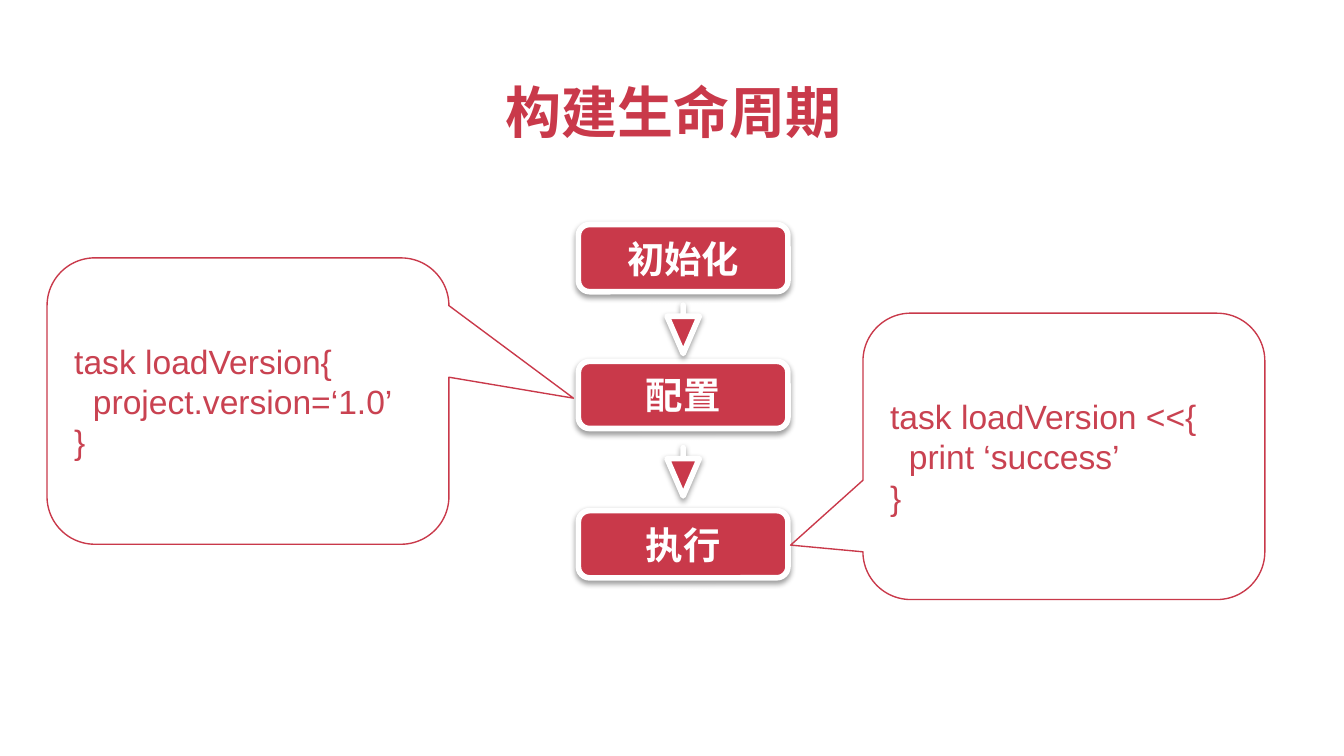
from lxml import etree
from pptx import Presentation
from pptx.dml.color import RGBColor
from pptx.enum import shapes, text
from pptx.oxml.ns import qn
from pptx.util import Pt

RED, CODE_RED, WHITE = "C9394A", "C94251", "FFFFFF"
CJK, LATIN = "Noto Sans CJK SC", "Arial"
AXIS = 366  # centre line of the flow
BOX_W, BOX_H = 112.3, 36
ARROW_W, ARROW_H = 17.3, 25.9
CALLOUT_W, CALLOUT_H = 215.3, 153.4


def color(value):
    return RGBColor.from_string(value)


def write(sp, lines, size, font, fill, bold=False, align=text.PP_ALIGN.LEFT,
          anchor=text.MSO_ANCHOR.MIDDLE):
    """Fill a shape with paragraphs given as (text, left indent) pairs."""
    tf = sp.text_frame
    tf.word_wrap = True
    tf.vertical_anchor = anchor
    for i, (line, indent) in enumerate(lines):
        p = tf.paragraphs[0] if i == 0 else tf.add_paragraph()
        p.alignment = align
        if indent:
            p._p.get_or_add_pPr().set("marL", str(Pt(indent)))
        r = p.add_run()
        r.text = line
        r.font.size, r.font.bold, r.font.name = Pt(size), bold, font
        r.font.color.rgb = color(fill)
        etree.SubElement(r._r.get_or_add_rPr(), qn("a:ea"), typeface=font)


def add_shape(s, kind, x, y, w, h, adjustments, line, weight, fill=None):
    sp = s.shapes.add_shape(kind, Pt(x), Pt(y), Pt(w), Pt(h))
    sp.shadow.inherit = False
    for i, value in enumerate(adjustments):
        sp.adjustments[i] = value
    if fill:
        sp.fill.solid()
        sp.fill.fore_color.rgb = color(fill)
    else:
        sp.fill.background()
    sp.line.color.rgb = color(line)
    sp.line.width = Pt(weight)
    return sp


def add_shadow(sp):
    effects = sp._element.spPr.find(qn("a:effectLst"))
    shadow = etree.SubElement(effects, qn("a:outerShdw"), blurRad=str(Pt(3.1)),
                              dist=str(Pt(1.6)), dir="5400000", rotWithShape="0")
    black = etree.SubElement(shadow, qn("a:srgbClr"), val="000000")
    etree.SubElement(black, qn("a:alpha"), val="38000")


def add_title(s, title):
    sp = s.shapes.add_textbox(Pt(36.7), Pt(38.2), Pt(648), Pt(45.4))
    write(sp, [(title, 0)], 30, CJK, RED, bold=True,
          align=text.PP_ALIGN.CENTER, anchor=text.MSO_ANCHOR.TOP)


def add_phase(s, name, y):
    sp = add_shape(s, shapes.MSO_SHAPE.ROUNDED_RECTANGLE, AXIS - BOX_W / 2, y,
                   BOX_W, BOX_H, [0.167], WHITE, 3, RED)
    add_shadow(sp)
    write(sp, [(name, 0)], 20, CJK, WHITE, bold=True, align=text.PP_ALIGN.CENTER)


def add_arrow(s, y):
    sp = add_shape(s, shapes.MSO_SHAPE.DOWN_ARROW, AXIS - ARROW_W / 2, y,
                   ARROW_W, ARROW_H, [0, 1.153], WHITE, 3, RED)
    add_shadow(sp)


def add_callout(s, x, y, tip, lines):
    sp = add_shape(s, shapes.MSO_SHAPE.ROUNDED_RECTANGULAR_CALLOUT, x, y,
                   CALLOUT_W, CALLOUT_H, [*tip, 0.167], RED, 0.75)
    write(sp, lines, 18, LATIN, CODE_RED)


def main():
    prs = Presentation()
    prs.slide_width, prs.slide_height = Pt(720), Pt(405)
    s = prs.slides.add_slide(prs.slide_layouts[6])

    add_title(s, "构建生命周期")

    # Phases of the build, top to bottom
    for name, y in (("初始化", 120.3), ("配置", 193.6), ("执行", 273.6)):
        add_phase(s, name, y)
    for y in (163.5, 239.8):
        add_arrow(s, y)

    # Code samples pointing at their phase
    add_callout(s, 25.2, 138.2, (0.81, -0.01),
                [("task loadVersion{", 0), ("project.version=‘1.0’", 10), ("}", 0)])
    add_callout(s, 462.3, 167.8, (-0.68, 0.31),
                [("task loadVersion <<{", 0), ("print ‘success’", 10), ("}", 0)])

    prs.save("out.pptx")


if __name__ == "__main__":
    main()
